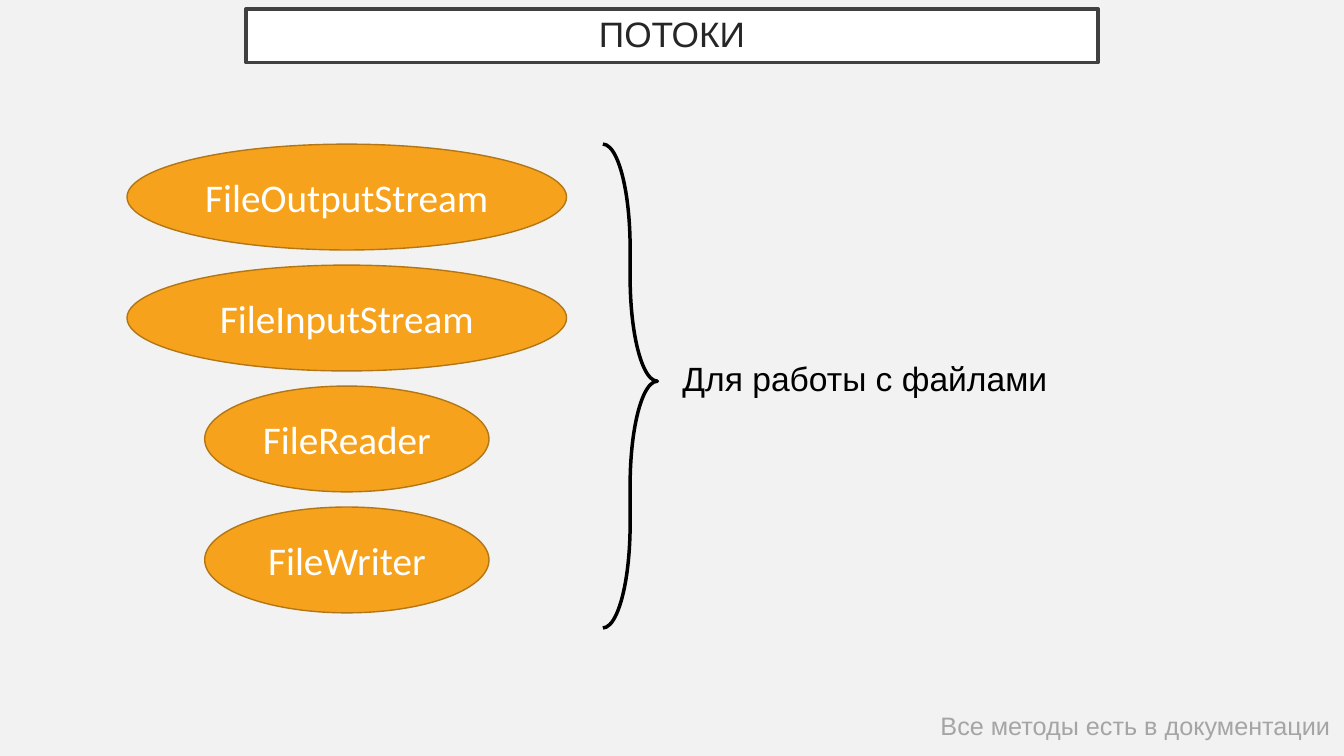
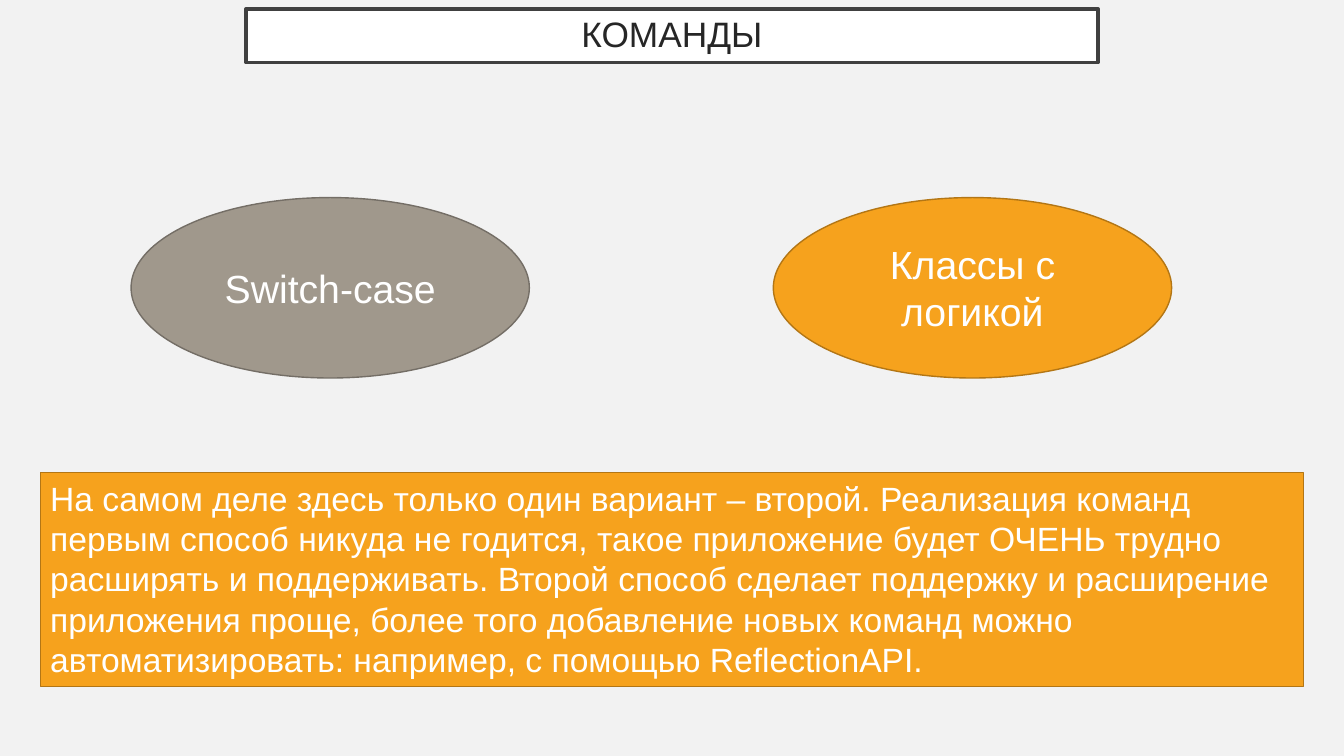
"""Build two slides about file streams and command handling."""
from dataclasses import dataclass

from pptx import Presentation
from pptx.dml.color import RGBColor
from pptx.enum.shapes import MSO_SHAPE
from pptx.enum.text import MSO_ANCHOR, PP_ALIGN
from pptx.util import Emu, Pt

RECTANGLE = MSO_SHAPE.RECTANGLE
ELLIPSE = MSO_SHAPE.OVAL
RIGHT_BRACE = MSO_SHAPE.RIGHT_BRACE
LEFT, CENTER = PP_ALIGN.LEFT, PP_ALIGN.CENTER
TOP, MIDDLE = MSO_ANCHOR.TOP, MSO_ANCHOR.MIDDLE

EMU_PER_PX = 9144
SLIDE_WIDTH, SLIDE_HEIGHT = 1333, 750
BLANK_LAYOUT = 6


@dataclass(frozen=True)
class Theme:
    """Colours, fonts, type sizes and line widths of the deck."""
    background: str = "F2F2F2"
    white: str = "FFFFFF"
    black: str = "000000"
    title_text: str = "262626"
    title_border: str = "404040"
    footer_text: str = "A5A5A5"
    orange: tuple = ("F6A21D", "B37615")
    grey: tuple = ("A0988C", "746E66")
    font: str = "Arial"
    code_font: str = "Calibri"
    title_size: float = 25.2
    label_size: int = 28
    body_size: int = 24
    footer_size: int = 18
    thin: float = 1
    thick: float = 2.5


THEME = Theme()


def px(length):
    """Turn whole pixels into EMU."""
    return Emu(length * EMU_PER_PX)


def rgb(colour):
    """Turn a hex string into a colour."""
    return RGBColor.from_string(colour)


def write(box, text, size, colour, font=THEME.font, align=LEFT, anchor=TOP):
    """Write one paragraph into a box and return it."""
    frame = box.text_frame
    frame.word_wrap = True
    frame.vertical_anchor = anchor
    para = frame.paragraphs[0]
    para.alignment = align
    span = para.add_run()
    span.text = text
    span.font.size = Pt(size)
    span.font.name = font
    span.font.color.rgb = rgb(colour)
    return para


def add_box(shapes, kind, place, fill, line, line_width):
    """Add a preset shape; a fill of None leaves it hollow."""
    box = shapes.add_shape(kind, *map(px, place))
    box.shadow.inherit = False
    if fill is None:
        box.fill.background()
    else:
        box.fill.solid()
        box.fill.fore_color.rgb = rgb(fill)
    box.line.color.rgb = rgb(line)
    box.line.width = Pt(line_width)
    return box


def add_text(shapes, place, text, size, colour):
    """Add a plain text box."""
    write(shapes.add_textbox(*map(px, place)), text, size, colour)


def add_ellipse(shapes, place, text, colours=THEME.orange, font=THEME.font):
    """Add an ellipse with a centred label."""
    ellipse = add_box(shapes, ELLIPSE, place, *colours, THEME.thin)
    write(ellipse, text, THEME.label_size, THEME.white, font, CENTER, MIDDLE)


def add_page(deck, title):
    """Add a slide with the shared background and framed title."""
    page = deck.slides.add_slide(deck.slide_layouts[BLANK_LAYOUT])
    page.background.fill.solid()
    page.background.fill.fore_color.rgb = rgb(THEME.background)
    box = add_box(page.shapes, RECTANGLE, (244, 9, 845, 53),
                  THEME.white, THEME.title_border, THEME.thick)
    para = write(box, title, THEME.title_size, THEME.title_text,
                 align=CENTER, anchor=MIDDLE)
    para.line_spacing = 0.9
    return page


def build_streams(deck):
    """Build the slide that lists the file stream classes."""
    page = add_page(deck, "ПОТОКИ")
    add_text(page.shapes, (923, 700, 410, 40), "Все методы есть в документации",
             THEME.footer_size, THEME.footer_text)
    shapes = page.shapes.add_group_shape().shapes
    center, top, height, gap = 344, 143, 105, 15
    streams = [("FileOutputStream", 436), ("FileInputStream", 436),
               ("FileReader", 282), ("FileWriter", 282)]
    for row, (name, width) in enumerate(streams):
        place = (center - width // 2, top + row * (height + gap), width, height)
        add_ellipse(shapes, place, name, font=THEME.code_font)
    brace = add_box(shapes, RIGHT_BRACE, (598, top, 54, 480),
                    None, THEME.black, THEME.thick)
    brace.adjustments[0] = 1.91
    brace.adjustments[1] = 0.49
    add_text(shapes, (667, 350, 385, 50), "Для работы с файлами",
             THEME.body_size, THEME.black)


def build_commands(deck):
    """Build the slide that compares two ways to handle commands."""
    page = add_page(deck, "КОМАНДЫ")
    options = [(130, "Switch-case", THEME.grey),
               (767, "Классы с логикой", THEME.orange)]
    for left, label, colours in options:
        add_ellipse(page.shapes, (left, 196, 395, 179), label, colours)
    verdict = add_box(page.shapes, RECTANGLE, (40, 469, 1253, 212),
                      *THEME.orange, THEME.thin)
    write(verdict,
          "На самом деле здесь только один вариант – второй. Реализация команд "
          "первым способ никуда не годится, такое приложение будет ОЧЕНЬ трудно "
          "расширять и поддерживать. Второй способ сделает поддержку и расширение "
          "приложения проще, более того добавление новых команд можно "
          "автоматизировать: например, с помощью ReflectionAPI.",
          THEME.body_size, THEME.white)


def main():
    """Build and save the deck."""
    deck = Presentation()
    deck.slide_width, deck.slide_height = px(SLIDE_WIDTH), px(SLIDE_HEIGHT)
    build_streams(deck)
    build_commands(deck)
    deck.save("out.pptx")


if __name__ == "__main__":
    main()
